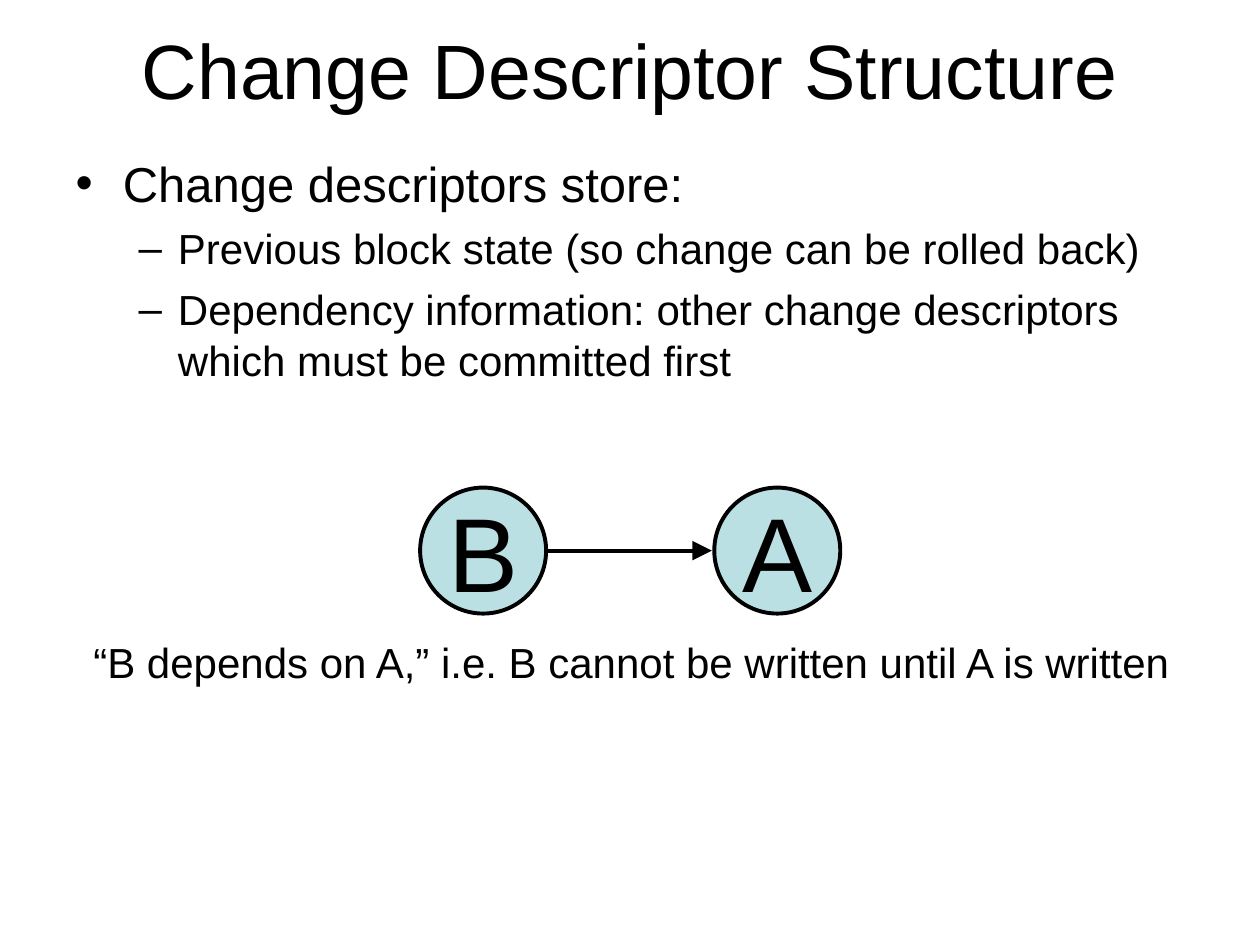
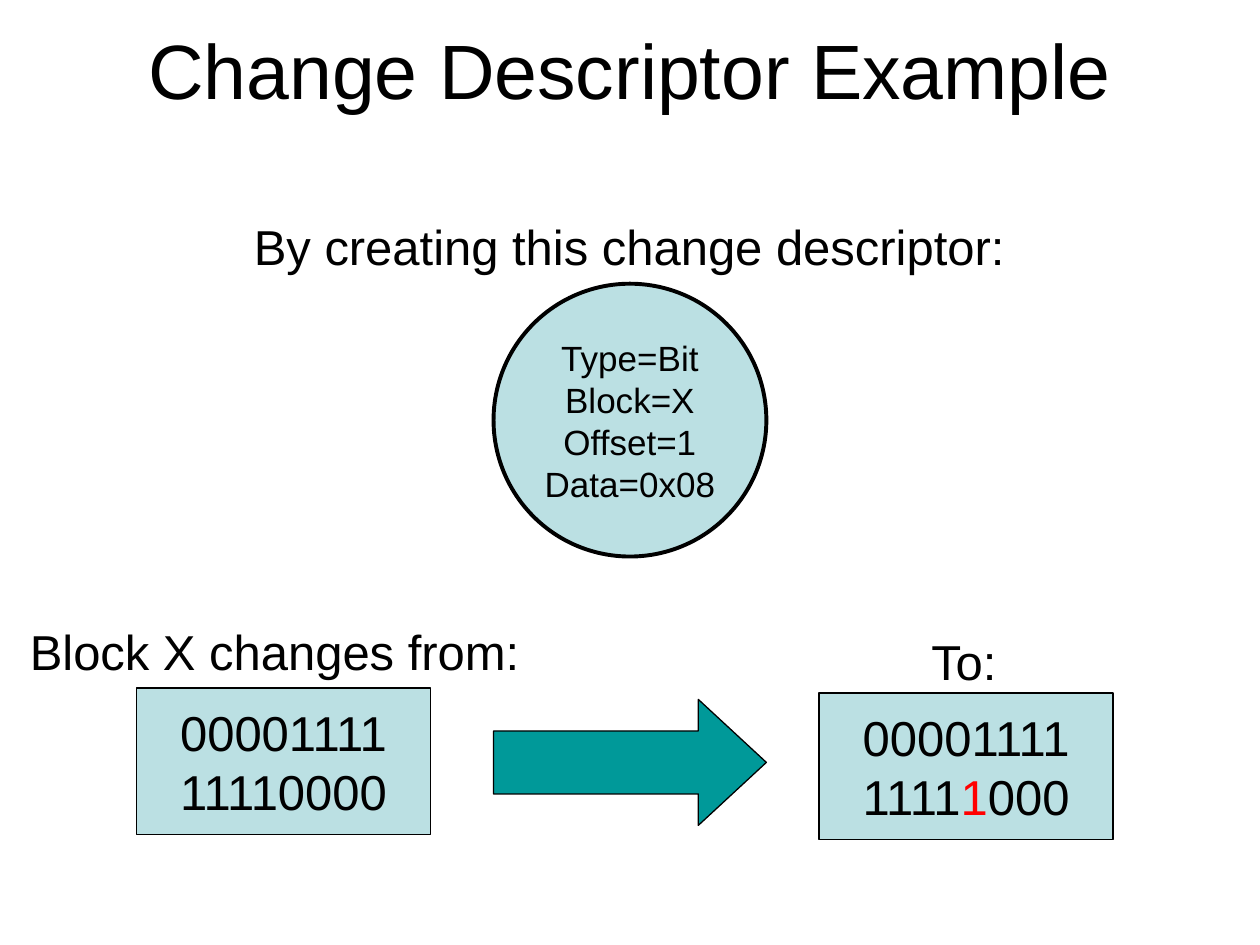
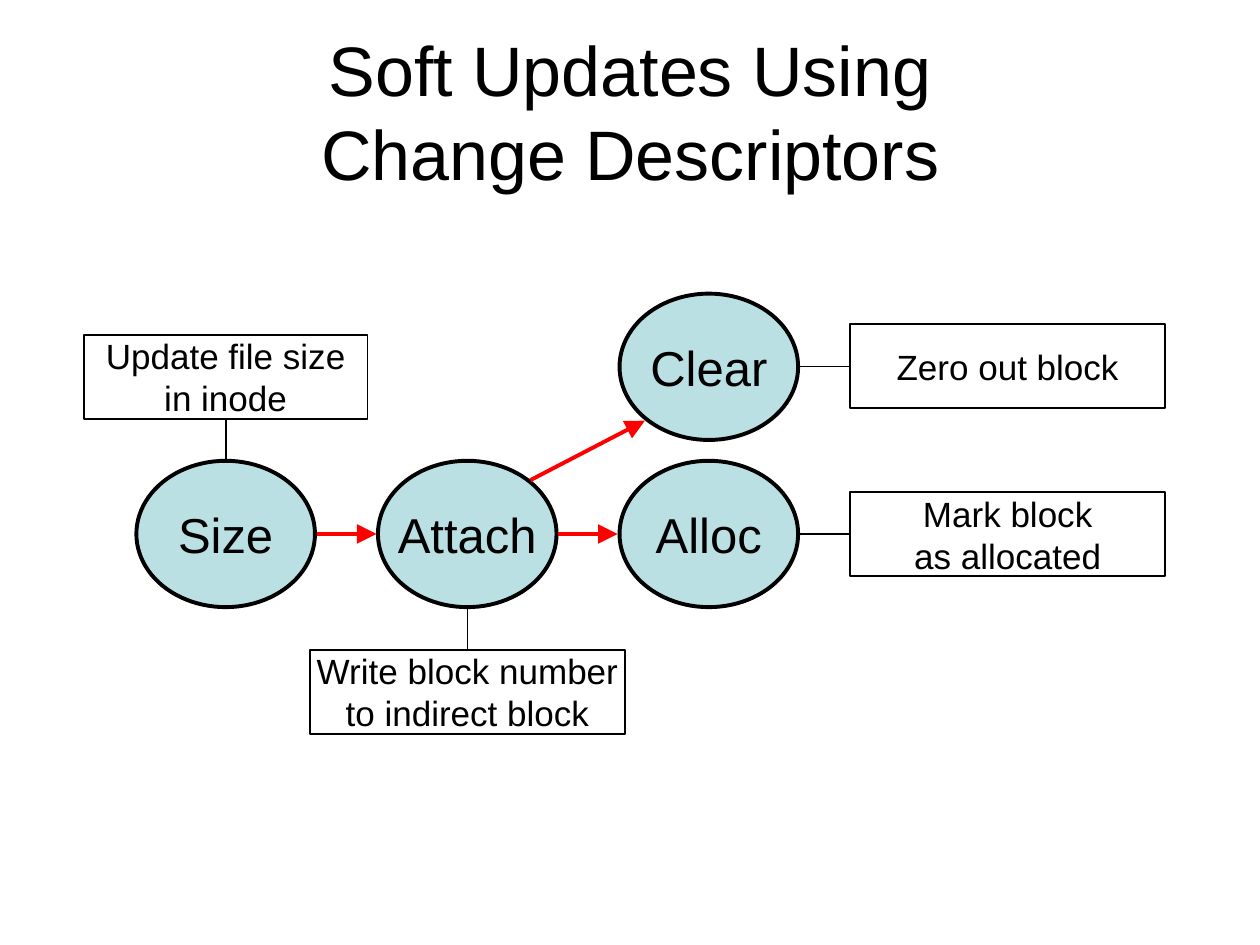
from dataclasses import dataclass

from lxml import etree
from pptx import Presentation
from pptx import util as u
from pptx.dml.color import RGBColor
from pptx.enum import shapes, text
from pptx.oxml import ns

FONT = "Arial"
BLACK = "000000"
RED = "FF0000"
PALE = "BBE0E3"
TEAL = "009999"
CONTENT_LAYOUT = 1
TITLE_LAYOUT = 5
NODE_WIDTH = 3.6
NODE_HEIGHT = 2.95
NOTE_HEIGHT = 1.7
OVAL = shapes.MSO_SHAPE.OVAL
RECTANGLE = shapes.MSO_SHAPE.RECTANGLE
CENTER = text.PP_ALIGN.CENTER


@dataclass(frozen=True)
class Span:
    words: str
    color: str = BLACK


@dataclass(frozen=True)
class Figure:
    left: float
    top: float
    width: float
    height: float
    lines: tuple[str | tuple[Span, ...], ...] = ()
    size: float = 28
    kind: shapes.MSO_SHAPE = OVAL
    fill: str | None = PALE
    weight: float = 2.25


@dataclass(frozen=True)
class Caption:
    left: float
    top: float
    width: float
    height: float
    words: str
    size: float = 28


@dataclass(frozen=True)
class Link:
    start: tuple[float, float]
    end: tuple[float, float]
    color: str = BLACK
    weight: float = 2.25
    arrow: bool = True


@dataclass(frozen=True)
class Item:
    words: str
    level: int
    size: float
    before: float


def rgb(color: str) -> RGBColor:
    return RGBColor.from_string(color)


def add_span(para, span: Span, size: float) -> None:
    run = para.add_run()
    run.text = span.words
    run.font.name = FONT
    run.font.size = u.Pt(size)
    run.font.color.rgb = rgb(span.color)


def place(box, left: float, top: float, width: float, height: float) -> None:
    box.left, box.top = u.Cm(left), u.Cm(top)
    box.width, box.height = u.Cm(width), u.Cm(height)


def add_page(deck, layout: int, title_lines: tuple[str, ...],
             size: float = 44, top: float = 0.22):
    page = deck.slides.add_slide(deck.slide_layouts[layout])
    title = page.shapes.title
    place(title, 1.27, top, 22.86, 2.34)
    title.text_frame.auto_size = text.MSO_AUTO_SIZE.NONE
    title.text_frame.vertical_anchor = text.MSO_ANCHOR.MIDDLE
    para = title.text_frame.paragraphs[0]
    para.alignment = CENTER
    for index, words in enumerate(title_lines):
        if index:
            para.add_line_break()
        add_span(para, Span(words), size)
    return page


def fill_body(page, items: tuple[Item, ...]) -> None:
    body = page.placeholders[1]
    place(body, 1.27, 2.97, 22.86, 14.05)
    frame = body.text_frame
    frame.auto_size = text.MSO_AUTO_SIZE.NONE
    for index, item in enumerate(items):
        para = frame.add_paragraph() if index else frame.paragraphs[0]
        para.level = item.level
        para.space_before = u.Pt(item.before)
        add_span(para, Span(item.words), item.size)


def draw_figure(page, figure: Figure):
    box = page.shapes.add_shape(
        figure.kind, u.Cm(figure.left), u.Cm(figure.top),
        u.Cm(figure.width), u.Cm(figure.height))
    box.shadow.inherit = False
    if figure.fill:
        box.fill.solid()
        box.fill.fore_color.rgb = rgb(figure.fill)
    else:
        box.fill.background()
    box.line.color.rgb = rgb(BLACK)
    box.line.width = u.Pt(figure.weight)
    frame = box.text_frame
    frame.word_wrap = False
    frame.vertical_anchor = text.MSO_ANCHOR.MIDDLE
    for index, line in enumerate(figure.lines):
        para = frame.add_paragraph() if index else frame.paragraphs[0]
        para.alignment = CENTER
        for span in (Span(line),) if isinstance(line, str) else line:
            add_span(para, span, figure.size)
    return box


def draw_caption(page, caption: Caption) -> None:
    box = page.shapes.add_textbox(
        u.Cm(caption.left), u.Cm(caption.top),
        u.Cm(caption.width), u.Cm(caption.height))
    frame = box.text_frame
    frame.word_wrap = False
    frame.auto_size = text.MSO_AUTO_SIZE.SHAPE_TO_FIT_TEXT
    para = frame.paragraphs[0]
    para.alignment = text.PP_ALIGN.RIGHT
    add_span(para, Span(caption.words), caption.size)


def draw_link(page, link: Link) -> None:
    line = page.shapes.add_connector(
        shapes.MSO_CONNECTOR.STRAIGHT,
        *(u.Cm(value) for value in link.start + link.end))
    line.line.color.rgb = rgb(link.color)
    line.line.width = u.Pt(link.weight)
    if link.arrow:
        outline = line._element.spPr.find(ns.qn("a:ln"))
        etree.SubElement(outline, ns.qn("a:tailEnd"),
                         type="triangle", w="lg", len="lg")
    etree.SubElement(line._element.spPr, ns.qn("a:effectLst"))


def descriptor(left: float, name: str) -> Figure:
    return Figure(left, 9.83, 2.54, 2.54, (name,), size=60)


def block(left: float, top: float, *lines: str | tuple[Span, ...]) -> Figure:
    return Figure(left, top, 5.93, 2.96, lines, kind=RECTANGLE, weight=0.75)


def node(column: int, top: float, name: str) -> Figure:
    return Figure(2.75 + 4.87 * column, top, NODE_WIDTH, NODE_HEIGHT, (name,))


def note(left: float, top: float, width: float, *lines: str) -> Figure:
    return Figure(left, top, width, NOTE_HEIGHT, lines, size=20,
                  kind=RECTANGLE, fill=None, weight=1)


def build_structure(deck) -> None:
    page = add_page(deck, CONTENT_LAYOUT, ("Change Descriptor Structure",))
    fill_body(page, (
        Item("Change descriptors store:", 0, 28, 7),
        Item("Previous block state (so change can be rolled back)", 1, 24, 6),
        Item("Dependency information: other change descriptors "
             "which must be committed first", 1, 24, 6),
    ))
    for figure in (descriptor(8.47, "B"), descriptor(14.4, "A")):
        draw_figure(page, figure)
    draw_link(page, Link((11.05, 11.1), (14.35, 11.1)))
    draw_caption(page, Caption(
        1.5, 12.7, 22.33, 1.27,
        "“B depends on A,” i.e. B cannot be written until A is written", 24))


def build_example(deck) -> None:
    page = add_page(deck, TITLE_LAYOUT, ("Change Descriptor Example",))
    arrow = draw_figure(page, Figure(
        9.95, 14.1, 5.5, 2.54, kind=shapes.MSO_SHAPE.RIGHT_ARROW,
        fill=TEAL, weight=0.75))
    arrow.adjustments[1] = 0.54
    changed = (Span("1111"), Span("1", RED), Span("000"))
    for figure in (
        Figure(9.95, 5.72, 5.5, 5.5,
               ("Type=Bit", "Block=X", "Offset=1", "Data=0x08"), size=20),
        block(2.75, 13.87, "00001111", "11110000"),
        block(16.51, 13.97, "00001111", changed),
    ):
        draw_figure(page, figure)
    for caption in (
        Caption(0.22, 12.4, 10.5, 1.45, "Block X changes from:"),
        Caption(18.41, 12.6, 1.93, 1.45, "To:"),
        Caption(4.8, 4.24, 15.7, 1.45, "By creating this change descriptor:"),
    ):
        draw_caption(page, caption)


def build_updates(deck) -> None:
    page = add_page(deck, TITLE_LAYOUT,
                    ("Soft Updates Using", "Change Descriptors"), 40, 1.05)
    upper, lower = 5.92, 9.29
    for figure in (
        node(0, lower, "Size"),
        node(1, lower, "Attach"),
        node(2, lower, "Alloc"),
        node(2, upper, "Clear"),
        note(1.69, 6.75, 5.72, "Update file size", "in inode"),
        note(6.25, 13.1, 6.35, "Write block number", "to indirect block"),
        note(17.14, 9.92, 6.35, "Mark block", "as allocated"),
        note(17.14, 6.53, 6.35, "Zero out block"),
    ):
        draw_figure(page, figure)
    upper_middle, lower_middle = (top + NODE_HEIGHT / 2 for top in (upper, lower))
    for link in (
        Link((4.55, 8.45), (4.55, 9.25), weight=1, arrow=False),
        Link((9.42, 13.1), (9.42, 12.27), weight=0.75, arrow=False),
        Link((16.13, lower_middle), (17.14, lower_middle),
             weight=0.75, arrow=False),
        Link((16.13, upper_middle), (17.14, upper_middle),
             weight=0.75, arrow=False),
        Link((10.69, 9.68), (13, 8.48), RED),
        Link((11.25, lower_middle), (12.45, lower_middle), RED),
        Link((6.4, lower_middle), (7.59, lower_middle), RED),
    ):
        draw_link(page, link)


def main() -> None:
    deck = Presentation()
    deck.slide_width, deck.slide_height = u.Cm(25.4), u.Cm(19.05)
    for build in (build_structure, build_example, build_updates):
        build(deck)
    deck.save("out.pptx")


if __name__ == "__main__":
    main()
